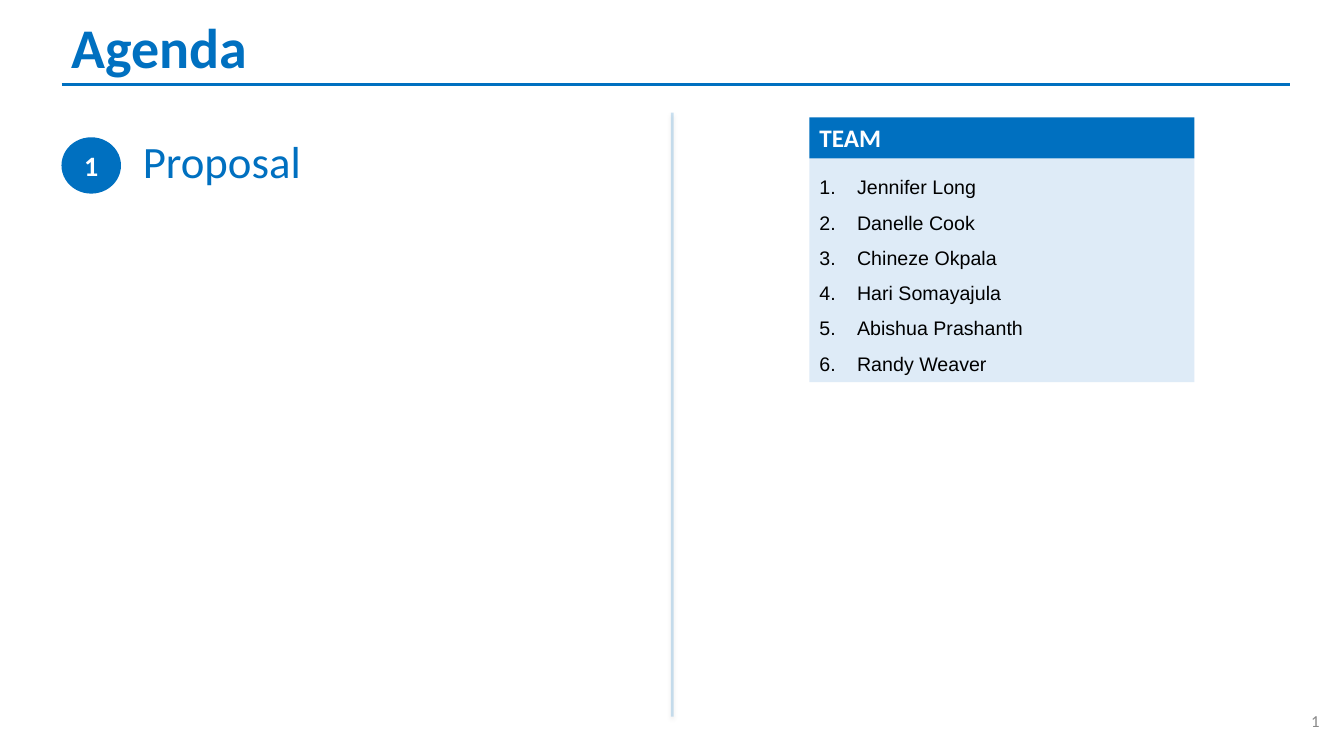
from dataclasses import dataclass

from lxml import etree
from pptx import Presentation
from pptx.dml.color import RGBColor
from pptx.enum import shapes as kinds, text as txt
from pptx.oxml import ns
from pptx.util import Cm, Pt


@dataclass(frozen=True)
class Theme:
    blue: str = "0070C0"
    pale: str = "DEEBF7"
    white: str = "FFFFFF"
    black: str = "000000"
    grey: str = "888888"
    heading_font: str = "Calibri"
    list_font: str = "Arial"
    title: int = 40
    topic: int = 32
    badge: int = 20
    panel: int = 18
    member: int = 14
    number: int = 12


THEME = Theme()
MEMBERS = ["Jennifer Long", "Danelle Cook", "Chineze Okpala",
           "Hari Somayajula", "Abishua Prashanth", "Randy Weaver"]


def apply(target, formats):
    for name, value in formats.items():
        setattr(target, name, value)


def child(parent, tag, **attributes):
    return etree.SubElement(parent, ns.qn(tag), attributes)


def write(holder, lines, size, color, font=THEME.heading_font, bold=False,
          anchor=txt.MSO_ANCHOR.TOP, **paragraph_formats):
    frame = holder.text_frame
    apply(frame, {"text": "\n".join(lines), "word_wrap": True,
                  "auto_size": txt.MSO_AUTO_SIZE.NONE,
                  "vertical_anchor": anchor,
                  "margin_left": Cm(0.25), "margin_right": Cm(0.25),
                  "margin_top": Cm(0.13), "margin_bottom": Cm(0.13)})
    formats = {"alignment": txt.PP_ALIGN.LEFT, **paragraph_formats}
    for paragraph in frame.paragraphs:
        apply(paragraph, formats)
        for run in paragraph.runs:
            apply(run.font, {"size": Pt(size), "name": font, "bold": bold})
            run.font.color.rgb = RGBColor.from_string(color)


def add_block(slide, preset, box, fill):
    block = slide.shapes.add_shape(preset, *map(Cm, box))
    block.shadow.inherit = False
    block.fill.solid()
    block.fill.fore_color.rgb = RGBColor.from_string(fill)
    block.line.fill.background()
    return block


def add_label(slide, box):
    return slide.shapes.add_textbox(*map(Cm, box))


def add_rule(slide, ends, width):
    rule = slide.shapes.add_connector(kinds.MSO_CONNECTOR.STRAIGHT, *map(Cm, ends))
    rule.line.width = Pt(width)
    rule.line.color.rgb = RGBColor.from_string(THEME.blue)
    effects = child(rule._element.spPr, "a:effectLst")
    return rule, effects


def soften(rule, effects):
    color = rule._element.spPr.find(".//" + ns.qn("a:srgbClr"))
    child(color, "a:alpha", val="20000")
    shadow = child(effects, "a:outerShdw", blurRad=str(Pt(3.1)), dist=str(Pt(1.6)),
                   dir="5400000", rotWithShape="0")
    child(child(shadow, "a:srgbClr", val=THEME.black), "a:alpha", val="38000")


def number_list(holder):
    for paragraph in holder.text_frame.paragraphs:
        properties = paragraph._p.get_or_add_pPr()
        properties.set("marL", str(Cm(0.95)))
        properties.set("indent", str(Cm(-0.95)))
        child(child(properties, "a:buClr"), "a:srgbClr", val=THEME.black)
        child(properties, "a:buFont", typeface=THEME.list_font)
        child(properties, "a:buAutoNum", type="arabicPeriod")


def make_slide_number(holder):
    run = holder.text_frame.paragraphs[0].runs[0]._r
    run.tag = ns.qn("a:fld")
    run.set("id", "{B6F15528-21DE-4FAA-801E-634DDDAF4B2B}")
    run.set("type", "slidenum")


def add_title(slide):
    title = slide.shapes.title
    apply(title, {"left": Cm(1.55), "top": Cm(0.2),
                  "width": Cm(30.94), "height": Cm(2.13)})
    write(title, ["Agenda"], THEME.title, THEME.blue, bold=True,
          anchor=txt.MSO_ANCHOR.MIDDLE, line_spacing=0.9)
    add_rule(slide, (1.55, 2.13, 32.51, 2.13), 2.25)


def add_topic(slide, number, name):
    badge = add_block(slide, kinds.MSO_SHAPE.OVAL, (1.55, 3.46, 1.5, 1.42), THEME.blue)
    write(badge, [number], THEME.badge, THEME.white, bold=True,
          anchor=txt.MSO_ANCHOR.MIDDLE, alignment=txt.PP_ALIGN.CENTER)
    topic = add_label(slide, (3.35, 3.23, 8.89, 1.63))
    write(topic, [name], THEME.topic, THEME.blue)


def add_team(slide):
    left, top, width, header_height = 20.4, 2.96, 9.7, 1.03
    roster = add_block(slide, kinds.MSO_SHAPE.RECTANGLE,
                       (left, top + header_height, width, 5.64), THEME.pale)
    write(roster, MEMBERS, THEME.member, THEME.black, font=THEME.list_font,
          line_spacing=1.5)
    number_list(roster)
    header = add_block(slide, kinds.MSO_SHAPE.RECTANGLE,
                       (left, top, width, header_height), THEME.blue)
    write(header, ["TEAM"], THEME.panel, THEME.white, bold=True)


def main():
    deck = Presentation()
    apply(deck, {"slide_width": Cm(33.87), "slide_height": Cm(19.05)})
    slide = deck.slides.add_slide(deck.slide_layouts[5])
    add_title(slide)
    page = add_label(slide, (32.39, 17.65, 1.12, 1.02))
    write(page, ["1"], THEME.number, THEME.grey, anchor=txt.MSO_ANCHOR.MIDDLE,
          alignment=txt.PP_ALIGN.RIGHT)
    make_slide_number(page)
    add_topic(slide, "1", "Proposal")
    add_team(slide)
    divider, effects = add_rule(slide, (16.94, 2.84, 16.94, 18.06), 2)
    soften(divider, effects)
    deck.save("out.pptx")


if __name__ == "__main__":
    main()
